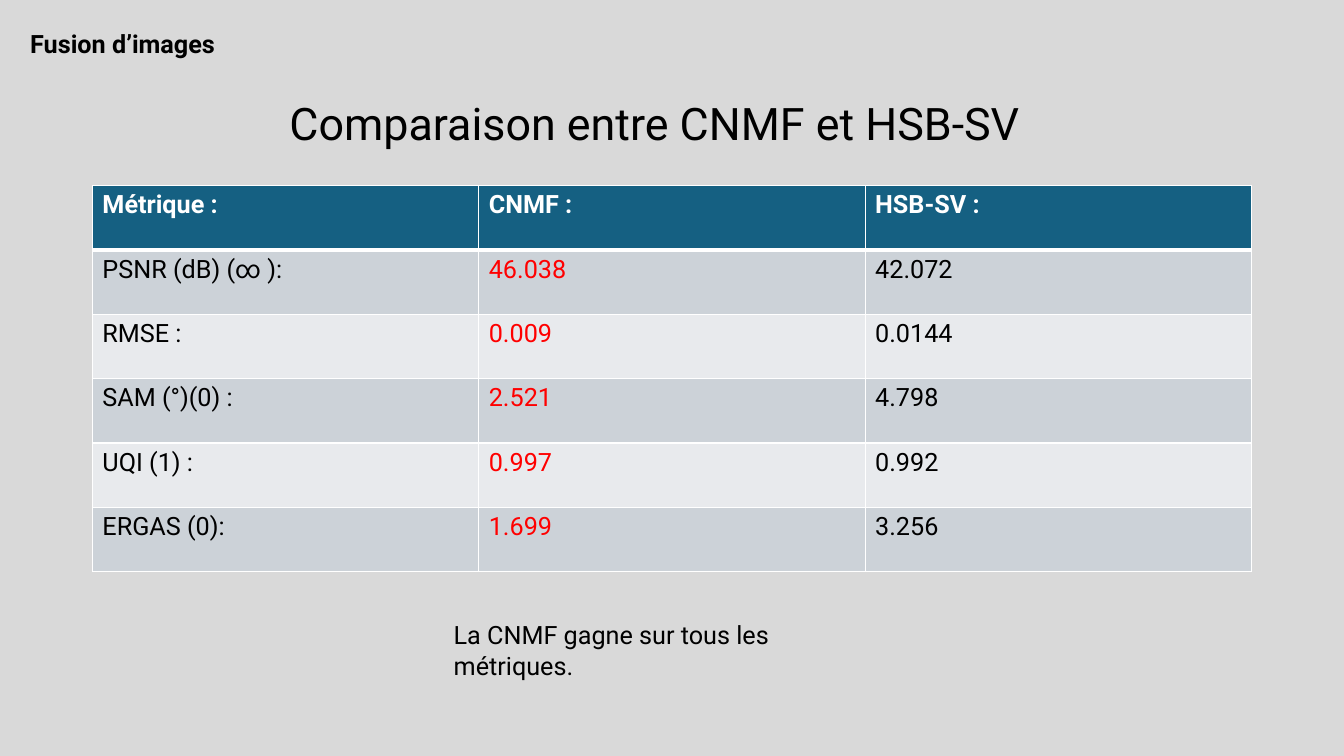
from dataclasses import dataclass

from pptx import Presentation
from pptx.dml.color import RGBColor
from pptx.enum.text import MSO_ANCHOR as Anchor, MSO_AUTO_SIZE as AutoSize, PP_ALIGN as Align
from pptx.oxml import parse_xml
from pptx.oxml.ns import nsdecls
from pptx.util import Pt

COLORS = {
    "background": "D9D9D9",
    "text": "000000",
    "best": "FF0000",
    "white": "FFFFFF",
    "header": "156082",
    "odd_row": "CCD2D8",
    "even_row": "E8EAED",
}
FONT = "Roboto"
COLUMN_WIDTH = 276
ROW_HEIGHT = 46
TABLE_LEFT, TABLE_TOP = 66, 132.5
METRICS = [
    ("Métrique :", "CNMF :", "HSB-SV :"),
    ("PSNR (dB) (∞ ):", "46.038", "42.072"),
    ("RMSE :", "0.009", "0.0144"),
    ("SAM (°)(0) :", "2.521", "4.798"),
    ("UQI (1) :", "0.997", "0.992"),
    ("ERGAS (0):", "1.699", "3.256"),
]


@dataclass
class Label:
    """A text with its place in points and its look."""

    text: str
    left: float
    top: float
    width: float
    height: float
    size: float = 18
    bold: bool = False


TITLE = Label("Comparaison entre CNMF et HSB-SV", 199.5, 65, 561, 46, size=32)
NOTES = [
    Label("Fusion d’images", 14.5, 16.5, 160.5, 29, bold=True),
    Label("La CNMF gagne sur tous les métriques.", 317, 439, 326, 29),
]


def set_all(target, values: dict) -> None:
    """Set every attribute named in values on the target."""
    for name, value in values.items():
        setattr(target, name, value)


def write(text_frame, text: str, size: float, bold: bool, color: str) -> None:
    """Put one left-aligned paragraph into the text frame."""
    paragraph = text_frame.paragraphs[0]
    paragraph.text = text
    paragraph.alignment = Align.LEFT
    font = paragraph.runs[0].font
    set_all(font, {"name": FONT, "size": Pt(size), "bold": bold})
    font.color.rgb = RGBColor.from_string(COLORS[color])


def place_label(shape, label: Label) -> None:
    """Position a text shape and fill it with its label."""
    for name in ("left", "top", "width", "height"):
        setattr(shape, name, Pt(getattr(label, name)))
    set_all(shape.text_frame, {
        "word_wrap": True,
        "auto_size": AutoSize.NONE,
        "vertical_anchor": Anchor.TOP,
    })
    write(shape.text_frame, label.text, label.size, label.bold, "text")


def set_borders(cell, widths: dict[str, float]) -> None:
    """Draw white cell borders with the given widths per side."""
    properties = cell._tc.get_or_add_tcPr()
    for index, (side, width) in enumerate(widths.items()):
        properties.insert(index, parse_xml(
            f'<a:ln{side} {nsdecls("a")} w="{Pt(width)}"><a:solidFill>'
            f'<a:srgbClr val="{COLORS["white"]}"/></a:solidFill></a:ln{side}>'
        ))


def add_metrics_table(slide) -> None:
    """Add the table that compares the two methods."""
    row_count, column_count = len(METRICS), len(METRICS[0])
    table = slide.shapes.add_table(
        row_count, column_count, Pt(TABLE_LEFT), Pt(TABLE_TOP),
        Pt(column_count * COLUMN_WIDTH), Pt(row_count * ROW_HEIGHT),
    ).table
    for row, texts in enumerate(METRICS):
        is_header = row == 0
        fill = "header" if is_header else "odd_row" if row % 2 else "even_row"
        borders = {"L": 1, "R": 1, "T": 3 if row == 1 else 1, "B": 3 if is_header else 1}
        for column, text in enumerate(texts):
            cell = table.cell(row, column)
            cell.fill.solid()
            cell.fill.fore_color.rgb = RGBColor.from_string(COLORS[fill])
            set_borders(cell, borders)
            color = "white" if is_header else "best" if column == 1 else "text"
            write(cell.text_frame, text, 18, is_header, color)


def main() -> None:
    """Build the comparison slide and save it."""
    presentation = Presentation()
    set_all(presentation, {"slide_width": Pt(960), "slide_height": Pt(540)})
    slide = presentation.slides.add_slide(presentation.slide_layouts[5])
    slide.background.fill.solid()
    slide.background.fill.fore_color.rgb = RGBColor.from_string(COLORS["background"])
    place_label(slide.shapes.title, TITLE)
    add_metrics_table(slide)
    for note in NOTES:
        place_label(slide.shapes.add_textbox(0, 0, 0, 0), note)
    presentation.save("out.pptx")


if __name__ == "__main__":
    main()
